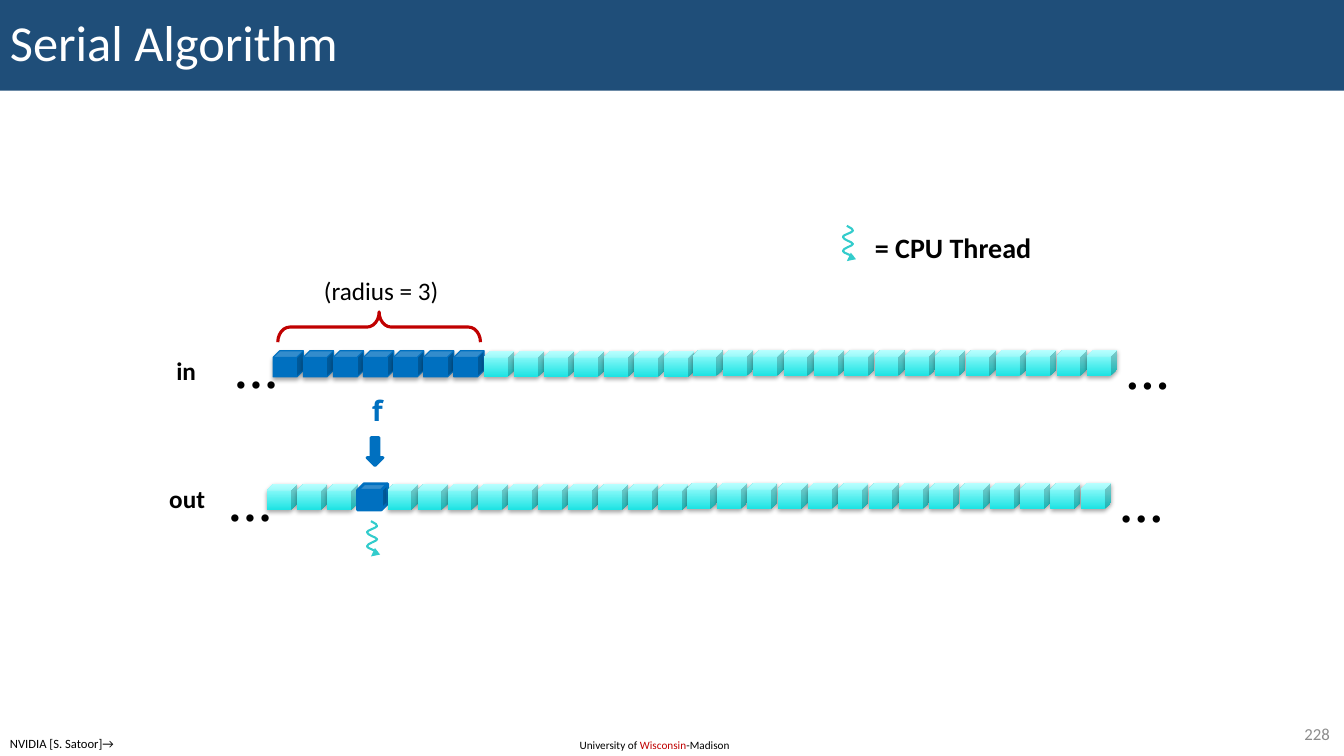
from lxml import etree
from pptx import Presentation
from pptx.dml.color import RGBColor
from pptx.enum import shapes, text
from pptx.oxml import ns
from pptx.util import Inches, Pt

COLORS = {
    "banner": "1F4E79", "white": "FFFFFF", "black": "000000", "blue": "0070C0",
    "cyan": "1CE3E3", "pale": "A7FFFF", "thread": "33CCCC", "red": "C00000",
    "gray": "8C8C8C",
}
SHAPE = shapes.MSO_SHAPE
ALIGN = text.PP_ALIGN
MIDDLE = text.MSO_ANCHOR.MIDDLE
CUBE_W, CUBE_H = 0.3, 0.26
HALF_ROW = 14
WAVE_START = (0.04, 0)
WAVE_CURVES = [
    ((0.09, 0.03), (0.10, 0.03), (0.10, 0.05)),
    ((0.09, 0.07), (0, 0.09), (0, 0.11)),
    ((0, 0.14), (0.10, 0.16), (0.10, 0.18)),
    ((0.10, 0.20), (0, 0.22), (0, 0.25)),
    ((0, 0.27), (0.09, 0.29), (0.10, 0.31)),
    ((0.10, 0.33), (0.07, 0.34), (0.04, 0.35)),
]


def rgb(name):
    return RGBColor.from_string(COLORS[name])


def write(shape, runs, size, font="Calibri", bold=False, align=ALIGN.LEFT):
    """Put (text, colour) runs into the first paragraph of a shape."""
    p = shape.text_frame.paragraphs[0]
    p.alignment = align
    for words, color in runs:
        r = p.add_run()
        r.text = words
        r.font.size, r.font.name, r.font.bold = Pt(size), font, bold
        r.font.color.rgb = rgb(color)


def add_label(s, box, runs, size, wrap=True, anchor=text.MSO_ANCHOR.TOP, **style):
    label = s.shapes.add_textbox(*map(Inches, box))
    label.text_frame.word_wrap = wrap
    label.text_frame.vertical_anchor = anchor
    write(label, runs, size, **style)


def add_preset(s, kind, box, fill=None, line=None, width=0.75):
    shape = s.shapes.add_shape(kind, *map(Inches, box))
    shape.shadow.inherit = False
    if fill:
        shape.fill.solid()
        shape.fill.fore_color.rgb = rgb(fill)
    else:
        shape.fill.background()
    if line:
        shape.line.color.rgb = rgb(line)
        shape.line.width = Pt(width)
    else:
        shape.line.fill.background()
    return shape


def cast_shadow(shape):
    effects = shape._element.spPr.find(ns.qn("a:effectLst"))
    shadow = etree.SubElement(effects, ns.qn("a:outerShdw"), blurRad="40000",
                              dist="23000", dir="5400000", rotWithShape="0")
    color = etree.SubElement(shadow, ns.qn("a:srgbClr"), val=COLORS["black"])
    etree.SubElement(color, ns.qn("a:alpha"), val="35000")


def add_cube(s, left, top, blue):
    box = (left, top, CUBE_W, CUBE_H)
    if blue:
        return add_preset(s, SHAPE.CUBE, box, "blue", "blue")
    cube = add_preset(s, SHAPE.CUBE, box)
    cube.fill.gradient()
    cube.fill.gradient_angle = 90
    for stop, color in zip(cube.fill.gradient_stops, ("cyan", "pale")):
        stop.color.rgb = rgb(color)
    return cube


def add_array(s, left, top, blue_cells, name, name_box, raised=None):
    """Draw a named row of cubes in two halves, with dots at both ends."""
    for half, (start, span) in enumerate([(0, 3.88), (4.16, 3.91)]):
        for i in range(HALF_ROW):
            cell = half * HALF_ROW + i
            x = left + start + span * i / (HALF_ROW - 1)
            cube = add_cube(s, x, top - 0.01 * half, cell in blue_cells)
            if cell == raised:
                cube.line.width = Pt(2)
            else:
                cast_shadow(cube)
    for dx, dy in [(-0.49, -0.12), (8.35, -0.11)]:
        add_label(s, (left + dx, top + dy, 0.6, 0.64), [("…", "black")], 32,
                  font="Times New Roman", bold=True)
    add_label(s, name_box, [(name, "black")], 18, bold=True)


def add_thread(s, left, top):
    """Draw a wavy arrow pointing down."""
    def at(point):
        return Inches(left + point[0]), Inches(top + point[1])

    builder = s.shapes.build_freeform(*at(WAVE_START))
    builder.add_line_segments([at(pt) for curve in WAVE_CURVES for pt in curve],
                              close=False)
    wave = builder.convert_to_shape()
    wave.shadow.inherit = False
    wave.fill.background()
    wave.line.color.rgb = rgb("thread")
    wave.line.width = Pt(1.5)
    etree.SubElement(wave.line._get_or_add_ln(), ns.qn("a:tailEnd"), type="triangle")
    # Each three line segments become the control points of one curve.
    segments = list(wave._element.iter(ns.qn("a:lnTo")))
    outline = segments[0].getparent()
    for i in range(0, len(segments), 3):
        curve = etree.SubElement(outline, ns.qn("a:cubicBezTo"))
        for segment in segments[i:i + 3]:
            curve.append(segment[0])
            outline.remove(segment)


def add_title(s, box, title):
    banner = add_preset(s, SHAPE.RECTANGLE, box, "banner")
    banner.text_frame.word_wrap = True
    banner.text_frame.vertical_anchor = MIDDLE
    write(banner, [(title, "white")], 36)
    banner.text_frame.paragraphs[0].line_spacing = 0.9


def add_stencil(s, left, top):
    """Mark the radius above the input cells and the function below them."""
    brace = add_preset(s, SHAPE.LEFT_BRACE, (left + 0.9, top - 1.24, 0.3, 2.01),
                       line="red", width=2.25)
    brace.rotation = 90
    brace.adjustments[0], brace.adjustments[1] = 0.397, 0.5
    add_label(s, (left + 0.38, top - 0.8, 1.38, 0.4), [("(radius = 3)", "black")], 18,
              wrap=False, align=ALIGN.CENTER)
    add_preset(s, SHAPE.DOWN_ARROW, (left + 0.93, top + 0.86, 0.16, 0.28),
               "blue", "blue", 2)
    add_label(s, (left + 0.88, top + 0.37, 0.32, 0.44), [("f", "blue")], 20,
              wrap=False, font="Noto Sans", bold=True)


def add_legend(s, left, top):
    add_thread(s, left, top)
    add_label(s, (left + 0.22, top, 2.2, 0.44), [("= CPU Thread", "black")], 20, bold=True)


def add_footer(s, top):
    add_label(s, (5.65, top + 0.15, 1.72, 0.24),
              [("University of ", "black"), ("Wisconsin", "red"), ("-Madison", "black")], 8)
    add_label(s, (0, top + 0.12, 1.23, 0.25), [("NVIDIA [S. Satoor]→", "black")], 9,
              wrap=False)
    add_label(s, (12.53, top, 0.76, 0.29), [("228", "gray")], 12,
              anchor=MIDDLE, align=ALIGN.RIGHT)


def main():
    prs = Presentation()
    prs.slide_width, prs.slide_height = Inches(13.33), Inches(7.5)
    s = prs.slides.add_slide(prs.slide_layouts[6])
    add_title(s, (0, 0, 13.33, 0.9), "Serial Algorithm")
    add_array(s, 2.71, 3.48, range(7), "in", (1.65, 3.48, 0.58, 0.4))
    add_array(s, 2.65, 4.8, [3], "out", (1.58, 4.75, 0.58, 0.4), raised=3)
    add_thread(s, 3.64, 5.17)
    add_legend(s, 8.36, 2.24)
    add_stencil(s, 2.71, 3.48)
    add_footer(s, 7.13)
    prs.save("out.pptx")


if __name__ == "__main__":
    main()
